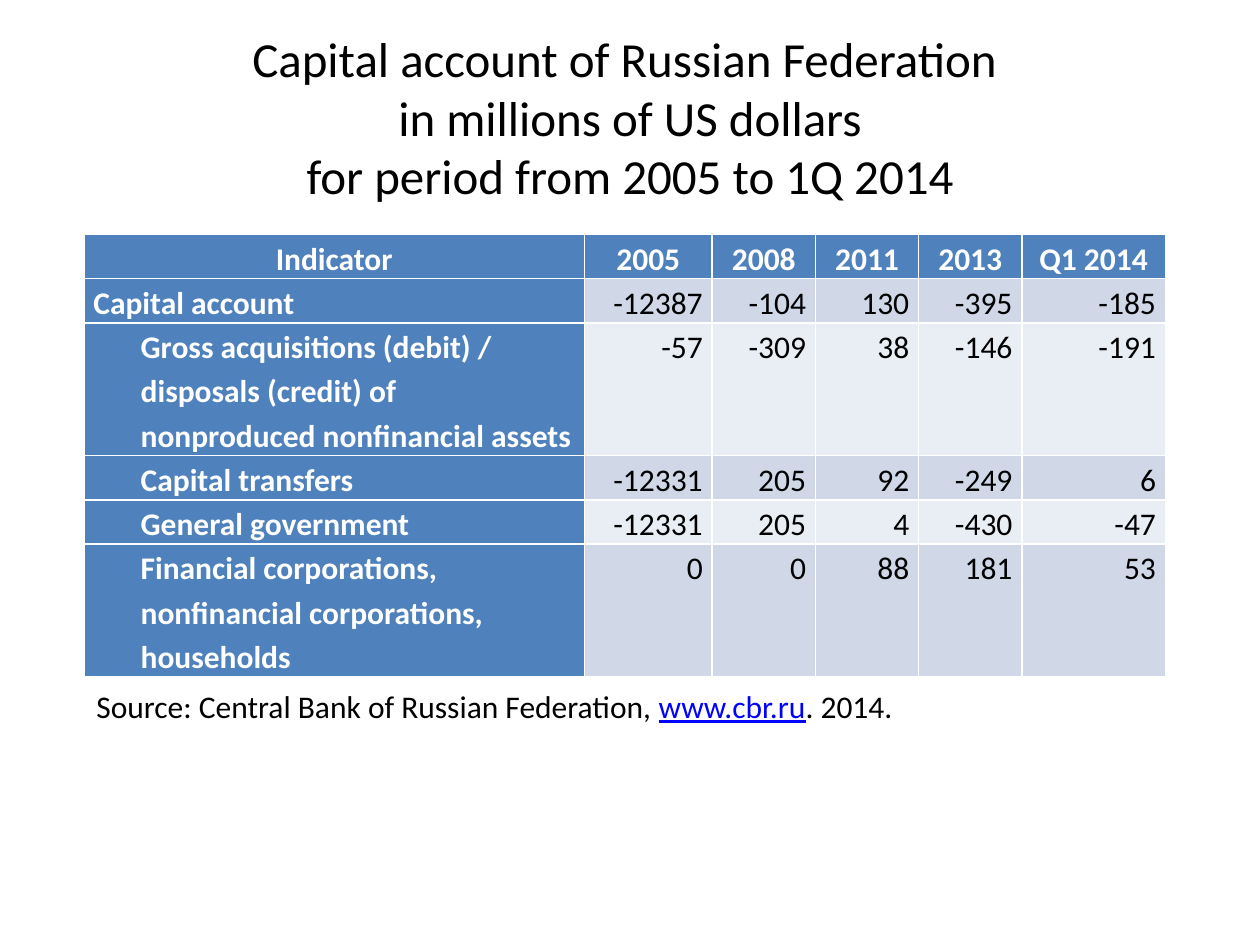
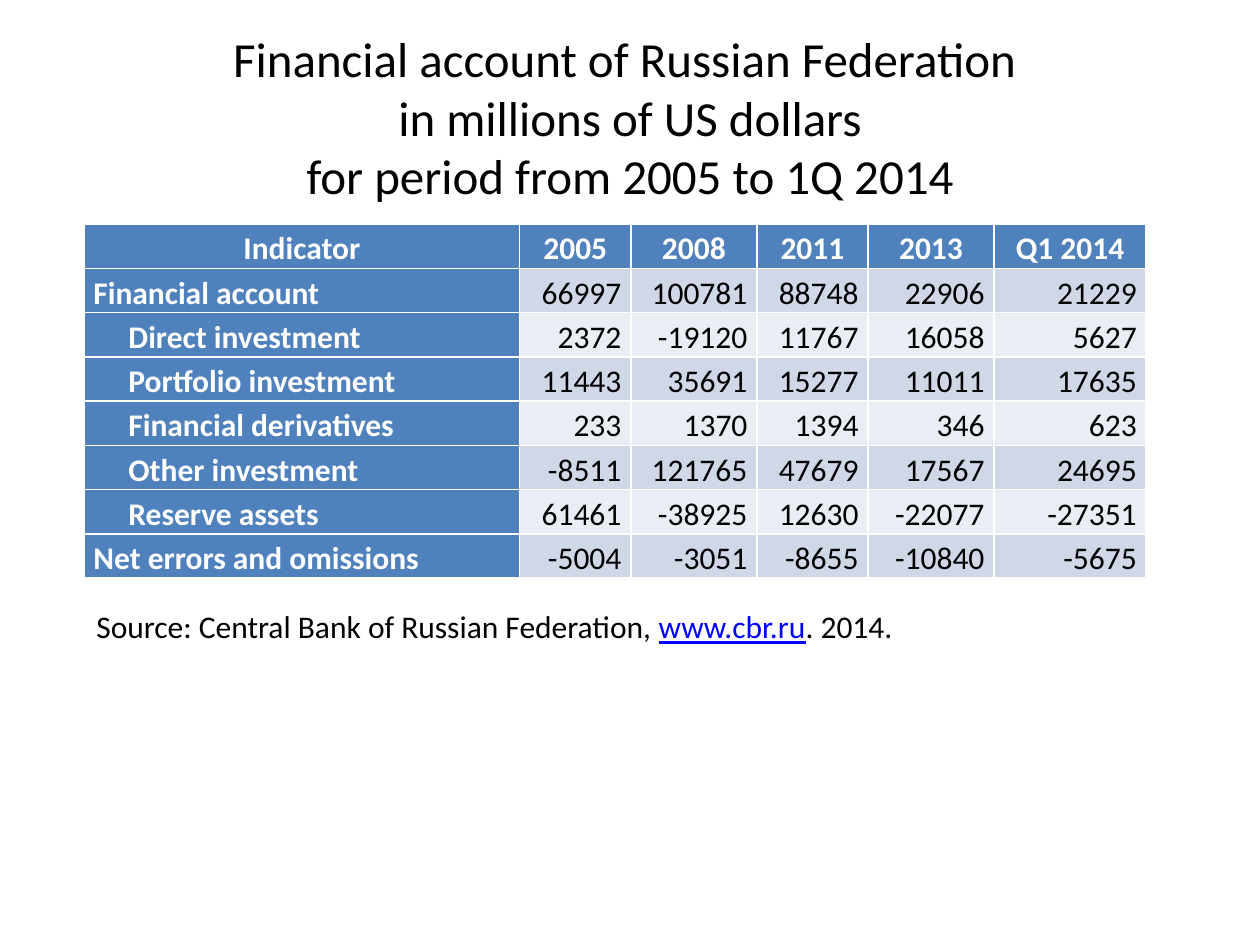
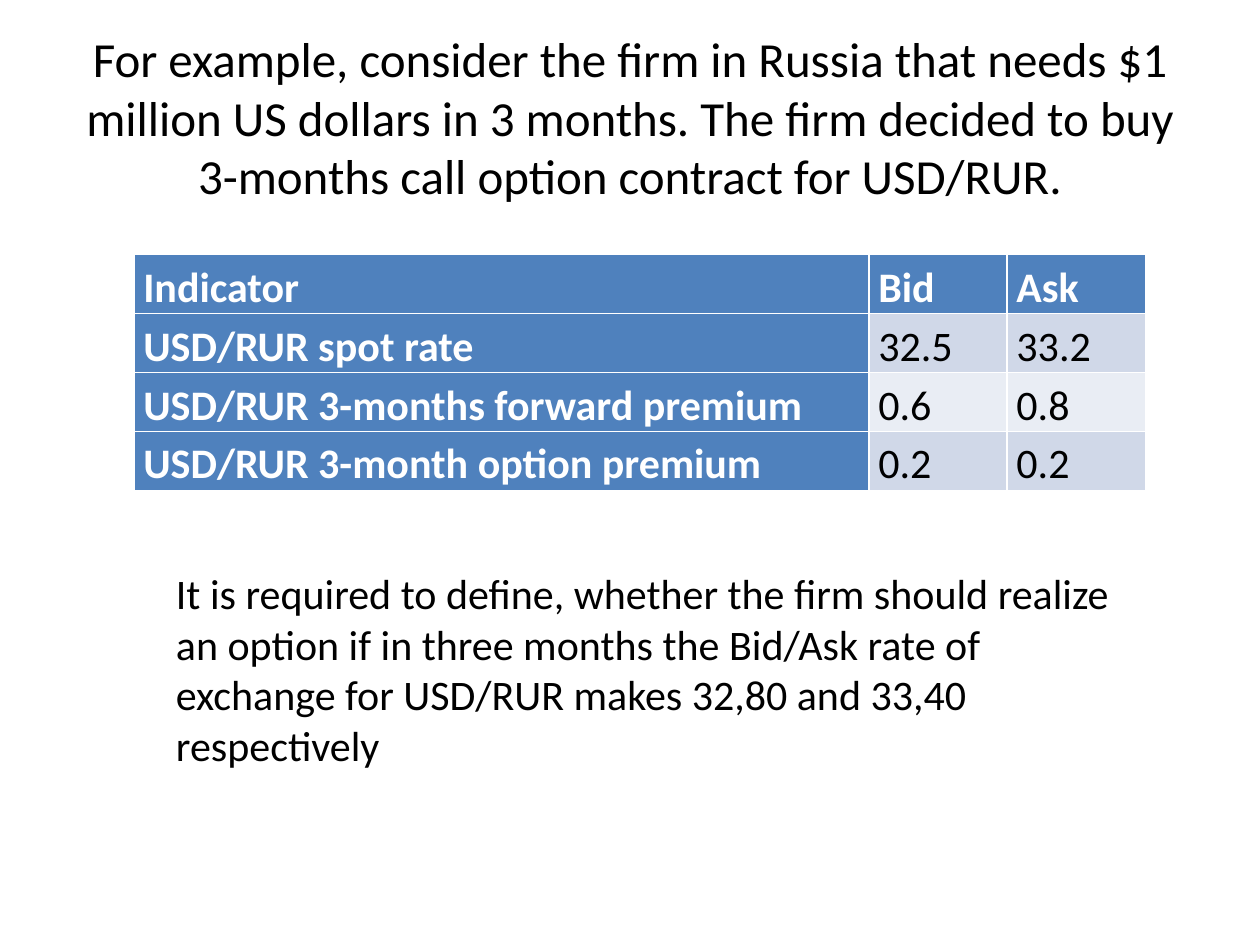
from pptx import Presentation
from pptx.dml.color import RGBColor
from pptx.enum.text import MSO_ANCHOR as Anchor, MSO_AUTO_SIZE as AutoSize, PP_ALIGN as Align
from pptx.util import Pt

COLORS = {
    "text": "000000",
    "header": "4F81BD",
    "header_text": "FFFFFF",
    "odd_row": "D0D8E8",
    "even_row": "E9EDF4",
    "link": "0000FF",
}
CELL = {"margin_left": Pt(5.4), "margin_right": Pt(5.4), "margin_top": 0, "margin_bottom": 0}
PERIOD = "in millions of US dollars\vfor period from 2005 to 1Q 2014"
YEARS = ["Indicator", "2005", "2008", "2011", "2013", "Q1 2014"]
SOURCE = [
    ("Source: Central Bank of Russian Federation, ", "text", {}),
    ("www.cbr.ru", "link", {"underline": True}),
    (". 2014.", "text", {}),
]
TASK = [(
    "It is required to define, whether the firm should realize an option if in three months "
    "the Bid/Ask rate of exchange for USD/RUR makes 32,80 and 33,40 respectively", "text", {},
)]

SLIDES = [
    {
        "title": "Capital account of Russian Federation \v" + PERIOD,
        "origin": (48, 134),
        "widths": [286, 73, 59, 59, 59, 82],
        "heights": [25, 25, 75, 25, 25, 75],
        "size": 18,
        "indent": 27,
        "indented": range(2, 6),
        "header_align": Align.CENTER,
        "value_align": Align.RIGHT,
        "rows": [
            YEARS,
            ["Capital account", "-12387", "-104", "130", "-395", "-185"],
            ["Gross acquisitions (debit) / disposals (credit) of nonproduced nonfinancial assets",
             "-57", "-309", "38", "-146", "-191"],
            ["Capital transfers", "-12331", "205", "92", "-249", "6"],
            ["General government", "-12331", "205", "4", "-430", "-47"],
            ["Financial corporations, nonfinancial corporations, households",
             "0", "0", "88", "181", "53"],
        ],
        "note": SOURCE,
        "note_box": (48, 389, 612, 29),
    },
    {
        "title": "Financial account of Russian Federation \v" + PERIOD,
        "origin": (48, 128),
        "widths": [249, 63.5, 72, 63.5, 72, 87],
        "heights": [25] * 8,
        "size": 18,
        "indent": 20,
        "indented": range(2, 7),
        "header_align": Align.CENTER,
        "value_align": Align.RIGHT,
        "rows": [
            YEARS,
            ["Financial account", "66997", "100781", "88748", "22906", "21229"],
            ["Direct investment", "2372", "-19120", "11767", "16058", "5627"],
            ["Portfolio investment", "11443", "35691", "15277", "11011", "17635"],
            ["Financial derivatives", "233", "1370", "1394", "346", "623"],
            ["Other investment", "-8511", "121765", "47679", "17567", "24695"],
            ["Reserve assets", "61461", "-38925", "12630", "-22077", "-27351"],
            ["Net errors and omissions", "-5004", "-3051", "-8655", "-10840", "-5675"],
        ],
        "note": SOURCE,
        "note_box": (48, 343.5, 612, 29),
    },
    {
        "title": "For example, consider the firm in Russia that needs $1 million US dollars in 3 months. "
                 "The firm decided to buy 3-months call option contract for USD/RUR.",
        "origin": (76.5, 145.5),
        "widths": [420, 79, 79],
        "heights": [33] * 4,
        "size": 24,
        "indent": 0,
        "indented": (),
        "header_align": Align.LEFT,
        "value_align": Align.LEFT,
        "rows": [
            ["Indicator", "Bid", "Ask"],
            ["USD/RUR spot rate", "32.5", "33.2"],
            ["USD/RUR 3-months forward premium", "0.6", "0.8"],
            ["USD/RUR 3-month option premium", "0.2", "0.2"],
        ],
        "note": TASK,
        "note_box": (93.5, 321, 556, 124),
    },
]


def apply_format(target, values):
    for attribute, value in values.items():
        setattr(target, attribute, value)


def format_font(font, size, color, **extra):
    apply_format(font, {"name": "Calibri", "size": Pt(size), **extra})
    font.color.rgb = RGBColor.from_string(COLORS[color])


deck = Presentation()
apply_format(deck, {"slide_width": Pt(720), "slide_height": Pt(540)})

for content in SLIDES:
    slide = deck.slides.add_slide(deck.slide_layouts[5])
    title = slide.shapes.title
    apply_format(title, {"left": Pt(36), "top": Pt(21.6), "width": Pt(648), "height": Pt(90)})
    apply_format(title.text_frame, {
        "text": content["title"], "vertical_anchor": Anchor.MIDDLE, "auto_size": AutoSize.NONE,
    })
    heading = title.text_frame.paragraphs[0]
    heading.alignment = Align.CENTER
    for run in heading.runs:
        format_font(run.font, 28, "text")

    widths, heights, rows = content["widths"], content["heights"], content["rows"]
    left, top = content["origin"]
    indicators = slide.shapes.add_table(
        len(rows), len(widths), Pt(left), Pt(top), Pt(sum(widths)), Pt(sum(heights))
    ).table
    indicators.first_col = True
    for column, width in zip(indicators.columns, widths):
        column.width = Pt(width)
    for row, height in zip(indicators.rows, heights):
        row.height = Pt(height)

    for r, values in enumerate(rows):
        for c, value in enumerate(values):
            is_header = r == 0 or c == 0
            cell = indicators.cell(r, c)
            apply_format(cell, {"text": value, **CELL})
            cell.fill.solid()
            band = "header" if is_header else "odd_row" if r % 2 else "even_row"
            cell.fill.fore_color.rgb = RGBColor.from_string(COLORS[band])
            line = cell.text_frame.paragraphs[0]
            line.line_spacing = 1.15
            if r == 0:
                line.alignment = content["header_align"]
                if content["header_align"] == Align.CENTER:
                    cell.vertical_anchor = Anchor.MIDDLE
            elif c:
                line.alignment = content["value_align"]
            elif r in content["indented"]:
                line._p.get_or_add_pPr().set("marL", str(Pt(content["indent"])))
            format_font(line.runs[0].font, content["size"],
                        "header_text" if is_header else "text", bold=is_header)

    note = slide.shapes.add_textbox(*map(Pt, content["note_box"])).text_frame
    apply_format(note, {"word_wrap": True, "auto_size": AutoSize.SHAPE_TO_FIT_TEXT})
    for words, color, extra in content["note"]:
        run = note.paragraphs[0].add_run()
        run.text = words
        format_font(run.font, content["size"], color, **extra)

deck.save("out.pptx")
